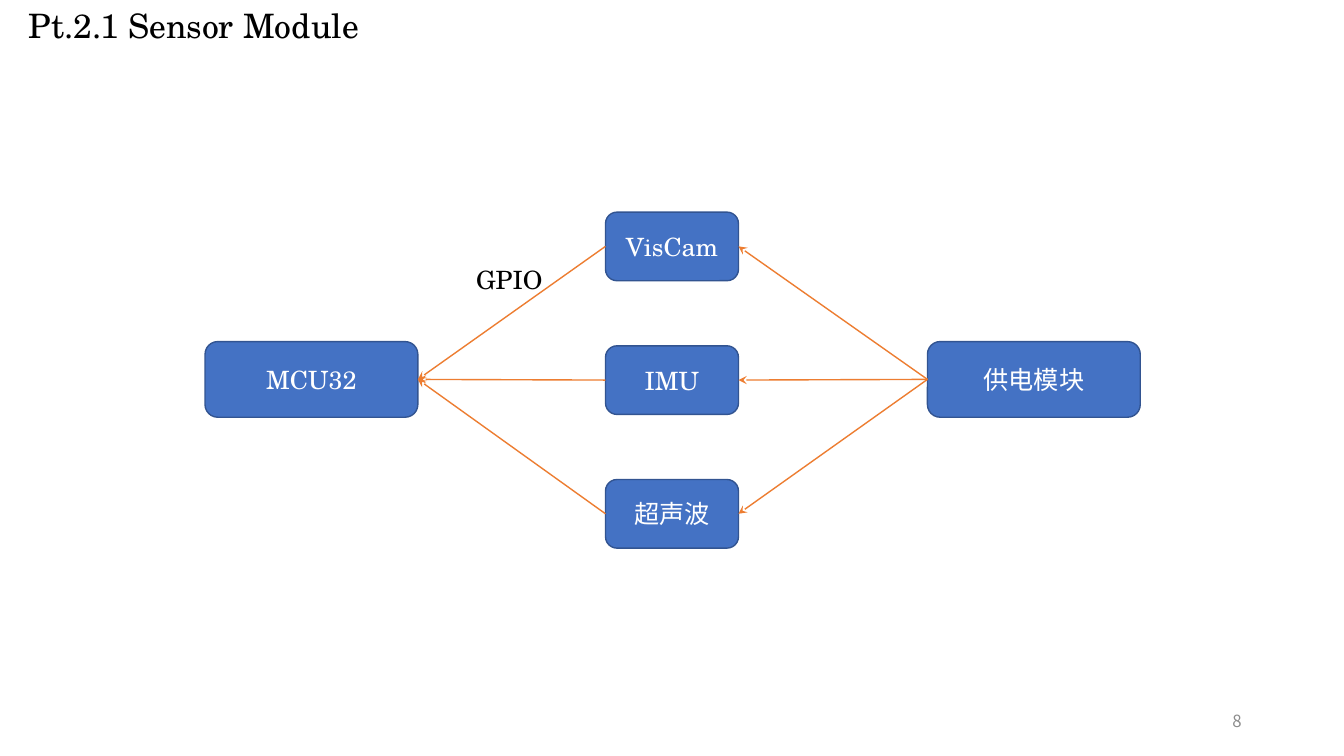
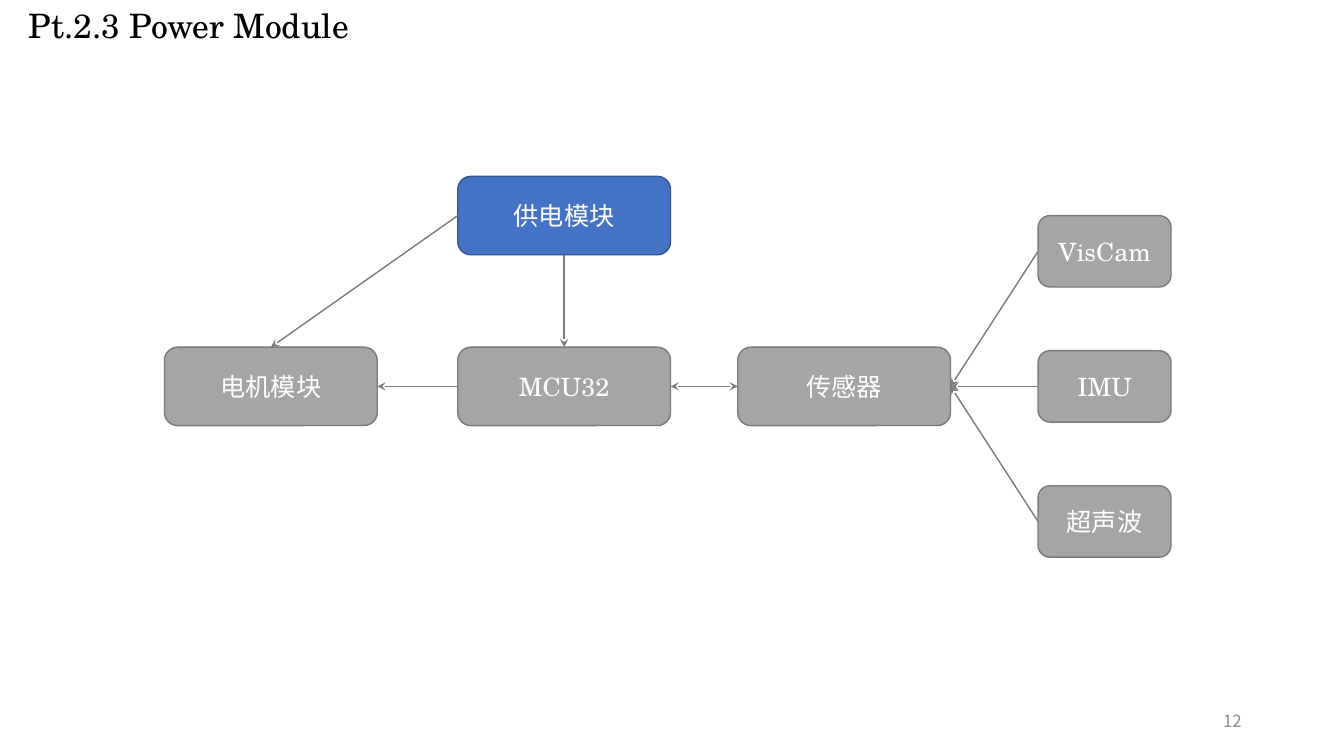
from dataclasses import dataclass

from lxml import etree
from pptx import Presentation
from pptx.dml.color import RGBColor
from pptx.enum import shapes, text
from pptx.oxml.ns import qn
from pptx.util import Pt


@dataclass(frozen=True)
class Theme:
    latin: str = "TeX Gyre Schola"
    cjk: str = "Noto Sans CJK SC"
    title_size: int = 24
    label_size: int = 18
    number_size: int = 12
    ink: str = "000000"
    on_box: str = "FFFFFF"
    number: str = "8C8C8C"
    orange: str = "ED7D31"
    gray_edge: str = "7A7A7A"


THEME = Theme()
BOX_STYLES = {"blue": ("4472C4", "325491"), "gray": ("A5A5A5", THEME.gray_edge)}
SITES = {"top": 0, "left": 1, "bottom": 2, "right": 3}

MODULE_W, SENSOR_W = 152, 95
SENSORS = ("VisCam", "IMU", "超声波")
MCU, POWER, MOTOR, HUB = "MCU32", "供电模块", "电机模块", "传感器"

# Modules: name -> (left, top, style). Links: (from, side, to, side, two-way).
SLIDES = [
    {
        "title": "Pt.2.1 Sensor Module",
        "number": "8",
        "module_height": 54,
        "modules": {MCU: (146.5, 244, "blue"), POWER: (662.5, 244, "blue")},
        "sensors": {"left": 432.5, "top": 151.5, "step": 95.5,
                    "height": 49, "style": "blue"},
        "links": [(s, "left", MCU, "right", False) for s in SENSORS]
        + [(POWER, "left", s, "right", False) for s in SENSORS],
        "link_color": THEME.orange,
        "notes": [("GPIO", 333, 185, 62, 29)],
    },
    {
        "title": "Pt.2.3 Power Module",
        "number": "12",
        "module_height": 56,
        "modules": {
            MCU: (327, 248, "gray"),
            MOTOR: (117.5, 248, "gray"),
            POWER: (327, 126, "blue"),
            HUB: (527, 248, "gray"),
        },
        "sensors": {"left": 741.5, "top": 154, "step": 96.5,
                    "height": 51, "style": "gray"},
        "links": [
            (POWER, "left", MOTOR, "top", False),
            (POWER, "bottom", MCU, "top", False),
            (MCU, "left", MOTOR, "right", False),
            (MCU, "right", HUB, "left", True),
        ] + [(s, "left", HUB, "right", False) for s in SENSORS],
        "link_color": THEME.gray_edge,
        "notes": [],
    },
]


def write(frame, words, size, color, align=text.PP_ALIGN.LEFT, latin=THEME.latin):
    frame.text = words
    paragraph = frame.paragraphs[0]
    paragraph.alignment = align
    font = paragraph.runs[0].font
    font.size = Pt(size)
    font.color.rgb = RGBColor.from_string(color)
    font.name = latin
    east_asian = etree.SubElement(paragraph.runs[0]._r.rPr, qn("a:ea"))
    east_asian.set("typeface", THEME.cjk)


def add_box(slide, name, left, top, width, height, style):
    fill, edge = BOX_STYLES[style]
    box = slide.shapes.add_shape(shapes.MSO_SHAPE.ROUNDED_RECTANGLE,
                                 Pt(left), Pt(top), Pt(width), Pt(height))
    box.shadow.inherit = False
    box.fill.solid()
    box.fill.fore_color.rgb = RGBColor.from_string(fill)
    box.line.color.rgb = RGBColor.from_string(edge)
    box.line.width = Pt(1)
    box.text_frame.vertical_anchor = text.MSO_ANCHOR.MIDDLE
    write(box.text_frame, name, THEME.label_size, THEME.on_box, text.PP_ALIGN.CENTER)
    return box


def add_link(slide, source, source_side, target, target_side, two_way, color):
    link = slide.shapes.add_connector(shapes.MSO_CONNECTOR.STRAIGHT, 0, 0, 0, 0)
    link.begin_connect(source, SITES[source_side])
    link.end_connect(target, SITES[target_side])
    link.line.color.rgb = RGBColor.from_string(color)
    link.line.width = Pt(1)
    line = link.line._get_or_add_ln()
    for end in ("a:headEnd", "a:tailEnd") if two_way else ("a:tailEnd",):
        etree.SubElement(line, qn(end)).set("type", "stealth")
    etree.SubElement(link._element.spPr, qn("a:effectLst"))


def add_text(slide, words, left, top, width, height, size, color, **style):
    frame = slide.shapes.add_textbox(Pt(left), Pt(top), Pt(width), Pt(height)).text_frame
    write(frame, words, size, color, **style)
    return frame


def place_title(layout):
    title = next(p for p in layout.placeholders
                 if p.placeholder_format.type == shapes.PP_PLACEHOLDER.TITLE)
    title.left, title.top, title.width, title.height = Pt(0), Pt(0), Pt(597), Pt(36)
    frame = title.text_frame
    frame.margin_left = Pt(20.5)
    frame.vertical_anchor = text.MSO_ANCHOR.TOP
    frame.auto_size = text.MSO_AUTO_SIZE.NONE


def build_slide(deck, layout, content):
    slide = deck.slides.add_slide(layout)
    write(slide.shapes.title.text_frame, content["title"], THEME.title_size, THEME.ink)

    boxes = {}
    for name, (left, top, style) in content["modules"].items():
        boxes[name] = add_box(slide, name, left, top, MODULE_W,
                              content["module_height"], style)
    column = content["sensors"]
    for row, name in enumerate(SENSORS):
        boxes[name] = add_box(slide, name, column["left"],
                              column["top"] + row * column["step"],
                              SENSOR_W, column["height"], column["style"])
    for source, source_side, target, target_side, two_way in content["links"]:
        add_link(slide, boxes[source], source_side, boxes[target], target_side,
                 two_way, content["link_color"])
    for words, *area in content["notes"]:
        add_text(slide, words, *area, THEME.label_size, THEME.ink).word_wrap = False

    number = add_text(slide, content["number"], 678, 500.5, 216, 28.5,
                      THEME.number_size, THEME.number,
                      align=text.PP_ALIGN.RIGHT, latin=THEME.cjk)
    number.word_wrap = True
    number.vertical_anchor = text.MSO_ANCHOR.MIDDLE


def main():
    deck = Presentation()
    deck.slide_width, deck.slide_height = Pt(960), Pt(540)
    layout = deck.slide_layouts.get_by_name("Title Only")
    place_title(layout)
    for content in SLIDES:
        build_slide(deck, layout, content)
    deck.save("out.pptx")


if __name__ == "__main__":
    main()
